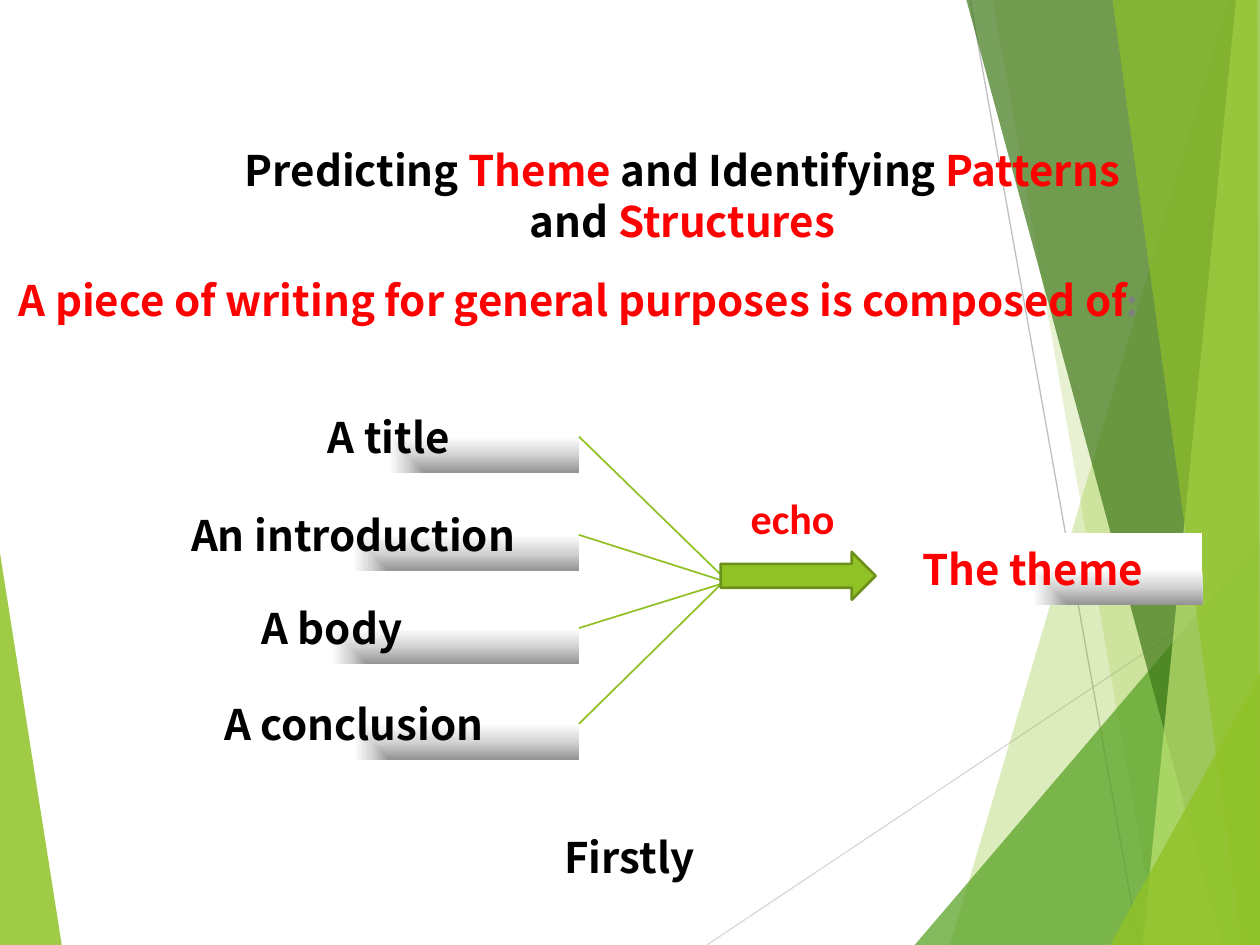
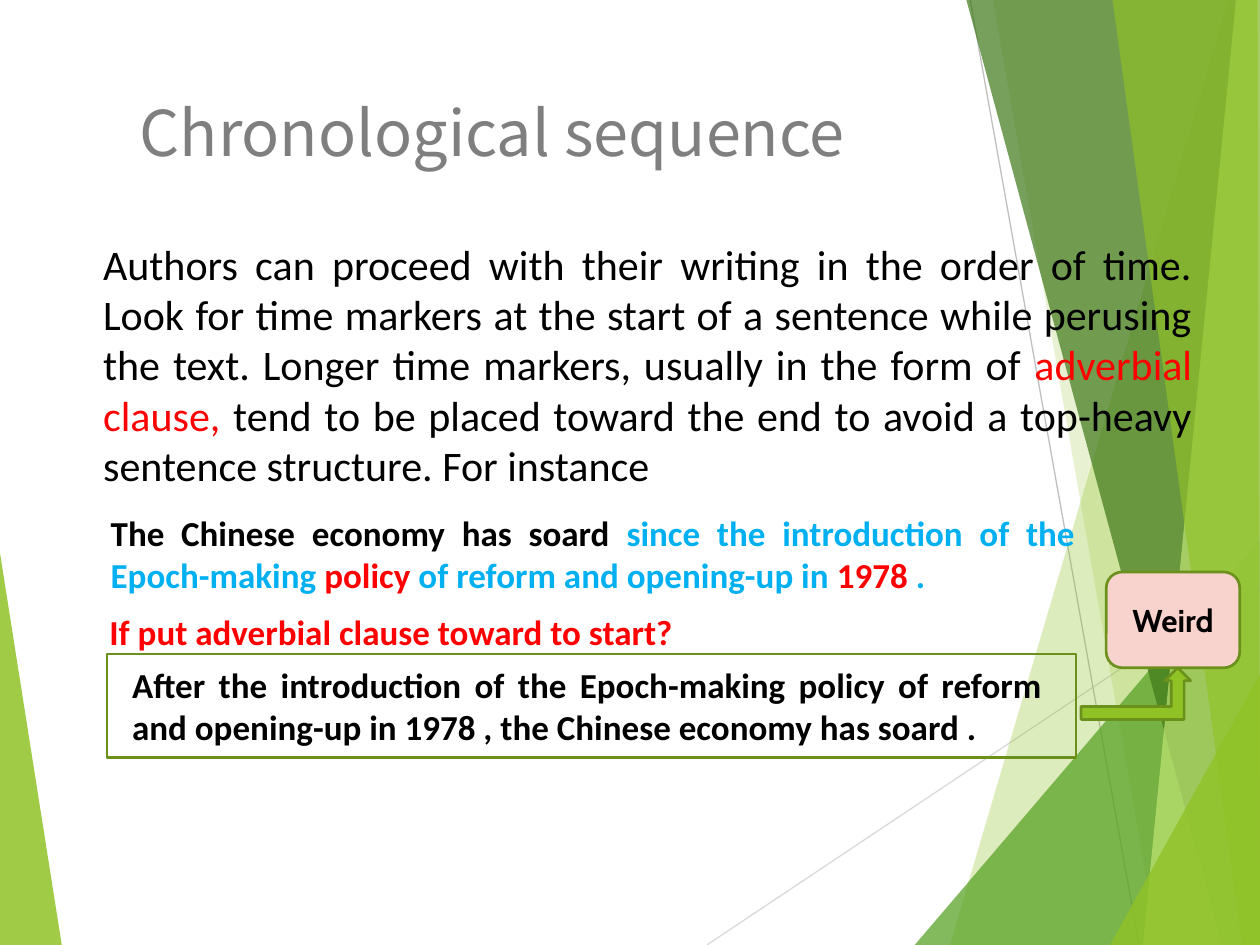
from dataclasses import dataclass

import pptx
import pptx.dml.color
import pptx.enum.shapes
import pptx.enum.text
import pptx.oxml
import pptx.oxml.ns
import pptx.util

# Grid: 20 columns by 15 rows over the whole slide
COLUMNS, ROWS = 20, 15
WIDTH, HEIGHT = pptx.util.Inches(10), pptx.util.Inches(7.5)

COLORS = {
    "black": "000000", "red": "FF0000", "grey": "7F7F7F", "sky": "00B0F0",
    "green": "90C226", "leaf": "54A021", "forest": "3F7819", "lime": "C0E474",
    "olive": "6B901C", "blush": "F8D2CC", "silver": "D9D9D9", "ash": "BFBFBF",
    "shade": "949494", "mist": "D4D4D4", "white": "FFFFFF",
}
DISPLAY, BODY, LABEL = "Noto Sans CJK SC", "Calibri", "Cabin"
SHAPES = pptx.enum.shapes.MSO_SHAPE
ALIGN = pptx.enum.text.PP_ALIGN


@dataclass(frozen=True)
class Area:
    left: float
    top: float
    width: float
    height: float

    def emu(self) -> tuple:
        return col(self.left), row(self.top), col(self.width), row(self.height)


@dataclass(frozen=True)
class Ribbon:
    color: str
    opacity: int
    points: tuple


@dataclass(frozen=True)
class Span:
    text: str
    color: str = "black"
    size: float = 0  # 0 keeps the size of the paragraph


@dataclass(frozen=True)
class Part:
    text: str
    left: float
    top: float
    tip: tuple  # where its line meets the arrow


RIBBONS = (
    Ribbon("green", 30, ((19.5, 0), (15.08, 15), (20, 15), (20, 0))),
    Ribbon("green", 20, ((15.76, 0), (18.38, 15), (20, 15), (20, 0))),
    Ribbon("leaf", 72, ((14.52, 15), (20, 8.58), (20, 15))),
    Ribbon("forest", 70, ((15.34, 0), (19.4, 15), (20, 15), (20, 0))),
    Ribbon("lime", 70, ((19.62, 0), (18.14, 15), (20, 15), (20, 0))),
    Ribbon("green", 65, ((17.66, 0), (19.72, 15), (20, 15), (19.96, 0))),
    Ribbon("green", 80, ((17.62, 15), (20, 10.7), (20, 15))),
)
LEFT_RIBBON = Ribbon("green", 85, ((0, 8.78), (0.98, 15), (0, 15)))

PARTS_RIGHT, PART_HEIGHT = 9.19, 1.14
PARTS = (
    Part("A title", 3.16, 6.36, (11.44, 9.12)),
    Part("An introduction", 2.02, 7.92, (11.54, 9.24)),
    Part("A body", 1.34, 9.4, (11.54, 9.24)),
    Part("A conclusion", 2.04, 10.92, (11.48, 9.24)),
)


def col(count: float) -> int:
    return round(WIDTH * count / COLUMNS)


def row(count: float) -> int:
    return round(HEIGHT * count / ROWS)


def rgb(name: str) -> pptx.dml.color.RGBColor:
    return pptx.dml.color.RGBColor.from_string(COLORS[name])


def write(box, content, *, size: float, font: str, color: str = "black",
          bold: bool = False, align=ALIGN.LEFT, leading: float = 0) -> None:
    """Fill one paragraph from a string or a sequence of spans."""
    para = box.text_frame.paragraphs[0]
    para.alignment = align
    if leading:
        para.line_spacing = pptx.util.Pt(leading)
    spans = (Span(content, color),) if isinstance(content, str) else content
    for item in spans:
        span = para.add_run()
        span.text = item.text
        span.font.name = font
        span.font.size = pptx.util.Pt(item.size or size)
        span.font.bold = bold
        span.font.color.rgb = rgb(item.color)


def add_text(page, area: Area, content, *, wrap: bool = True, **style) -> None:
    box = page.shapes.add_textbox(*area.emu())
    box.text_frame.word_wrap = wrap
    write(box, content, **style)


def add_display(page, area: Area, content, *, size: float = 24, **style) -> None:
    add_text(page, area, content, size=size, font=DISPLAY,
             leading=size * 1.2, **style)


def add_block(page, kind, area: Area, fill: str = "", line: str = ""):
    block = page.shapes.add_shape(kind, *area.emu())
    block.shadow.inherit = False
    if fill:
        block.fill.solid()
        block.fill.fore_color.rgb = rgb(fill)
    else:
        block.fill.background()
    if line:
        block.line.color.rgb = rgb(line)
        block.line.width = pptx.util.Pt(1.5)
    else:
        block.line.fill.background()
    block.text_frame.vertical_anchor = pptx.enum.text.MSO_ANCHOR.MIDDLE
    return block


def add_shaded_box(page, area: Area, text: str, color: str = "black"):
    """Borderless box shaded from its lower right corner."""
    box = add_block(page, SHAPES.RECTANGLE, area)
    stops = "".join(
        f'<a:gs pos="{place}"><a:srgbClr val="{COLORS[name]}"/></a:gs>'
        for place, name in ((0, "shade"), (50000, "mist"), (100000, "white")))
    gradient = pptx.oxml.parse_xml(
        f'<a:gradFill {pptx.oxml.ns.nsdecls("a")} rotWithShape="1">'
        f'<a:gsLst>{stops}</a:gsLst><a:path path="rect">'
        '<a:fillToRect l="100000" t="100000"/></a:path>'
        '<a:tileRect r="-100000" b="-100000"/></a:gradFill>')
    properties = box.element.spPr
    properties.replace(properties.find(pptx.oxml.ns.qn("a:noFill")), gradient)
    write(box, text, size=24, font=DISPLAY, color=color, bold=True,
          align=ALIGN.CENTER)
    return box


def add_line(page, start: tuple, end: tuple, color: str, width: float):
    line = page.shapes.add_connector(
        pptx.enum.shapes.MSO_CONNECTOR.STRAIGHT,
        col(start[0]), row(start[1]), col(end[0]), row(end[1]))
    line.line.color.rgb = rgb(color)
    line.line.width = pptx.util.Pt(width)
    line.element.spPr.append(pptx.oxml.parse_xml(
        f'<a:effectLst {pptx.oxml.ns.nsdecls("a")}/>'))
    return line


def add_ribbon(page, ribbon: Ribbon) -> None:
    first, *rest = [(col(x), row(y)) for x, y in ribbon.points]
    builder = page.shapes.build_freeform(*first)
    builder.add_line_segments(rest, close=True)
    shape = builder.convert_to_shape()
    shape.shadow.inherit = False
    shape.line.fill.background()
    shape.fill.solid()
    shape.fill.fore_color.rgb = rgb(ribbon.color)
    tint = shape.element.spPr.find(".//" + pptx.oxml.ns.qn("a:srgbClr"))
    tint.append(pptx.oxml.parse_xml(
        f'<a:alpha {pptx.oxml.ns.nsdecls("a")} val="{ribbon.opacity * 1000}"/>'))


def add_page(deck):
    """Blank page with the green ribbons."""
    page = deck.slides.add_slide(deck.slide_layouts[6])
    add_ribbon(page, LEFT_RIBBON)
    add_line(page, (11.22, 15), (20, 9.14), "silver", 0.75)
    add_line(page, (15.4, 0), (18.08, 15), "ash", 0.75)
    for ribbon in RIBBONS:
        add_ribbon(page, ribbon)
    return page


def build_theme_page(deck) -> None:
    page = add_page(deck)

    # Parts of a text and the theme they echo
    boxes = [add_shaded_box(page, Area(part.left, part.top,
                                       PARTS_RIGHT - part.left, PART_HEIGHT),
                            part.text)
             for part in PARTS]
    add_shaded_box(page, Area(13.7, 8.46, 5.38, PART_HEIGHT), "The theme", "red")
    for part, box in zip(PARTS, boxes):
        start = (PARTS_RIGHT, part.top + PART_HEIGHT / 2)
        line = add_line(page, start, part.tip, "green", 1)
        line.begin_connect(box, 3)
    add_block(page, SHAPES.RIGHT_ARROW, Area(11.44, 8.76, 2.46, 0.76),
              "green", "olive")

    # Headings and labels
    add_display(page, Area(3.34, 2.2, 14.98, 1.82), (
        Span("Predicting "), Span("Theme", "red"), Span(" and Identifying "),
        Span("Patterns", "red"), Span(" and "), Span("Structures", "red"),
    ), bold=True, align=ALIGN.CENTER)
    add_display(page, Area(0.1, 4.26, 19.06, 1.02), (
        Span("A piece of writing for general purposes is composed of", "red"),
        Span(":", "grey", 20),
    ), bold=True, wrap=False)
    add_text(page, Area(11.72, 7.72, 1.74, 1.02), "echo", size=24, font=BODY,
             color="red", bold=True, wrap=False)
    add_display(page, Area(8.76, 13.1, 2.46, 1.02), "Firstly", bold=True,
                wrap=False)


def build_sequence_page(deck) -> None:
    page = add_page(deck)
    add_display(page, Area(2.02, 1.38, 12.12, 1.42), "Chronological sequence",
                size=36, color="grey")

    # Explanation
    add_text(page, Area(1.44, 3.68, 17.68, 4.24), (
        Span("Authors can proceed with their writing in the order of time. "
             "Look for time markers at the start of a sentence while perusing "
             "the text. Longer time markers, usually in the form of "),
        Span("adverbial clause, ", "red"),
        Span("tend to be placed toward the end to avoid a top-heavy sentence "
             "structure. For instance"),
    ), size=24, font=BODY, align=ALIGN.JUSTIFY)

    # Example sentences
    example = {"size": 20, "font": BODY, "bold": True}
    add_text(page, Area(1.56, 8.02, 15.7, 1.54), (
        Span("The Chinese economy has soard "),
        Span("since the introduction of the Epoch-making ", "sky"),
        Span("policy ", "red"),
        Span("of reform and opening-up in ", "sky"),
        Span("1978 ", "red"), Span(".", "sky"),
    ), align=ALIGN.JUSTIFY, **example)
    add_text(page, Area(1.9, 10.44, 14.84, 1.54),
             "After the introduction of the Epoch-making policy of reform and "
             "opening-up in 1978 , the Chinese economy has soard .",
             align=ALIGN.JUSTIFY, **example)
    add_text(page, Area(1.54, 9.6, 10.3, 0.88),
             "If put adverbial clause toward to start?",
             color="red", wrap=False, **example)

    # Verdict on the second sentence
    verdict = add_block(page, SHAPES.ROUNDED_RECTANGLE,
                        Area(17.56, 9.08, 2.12, 1.52), "blush", "olive")
    write(verdict, "Weird", size=18, font=LABEL, bold=True, align=ALIGN.CENTER)
    add_block(page, SHAPES.BENT_UP_ARROW, Area(17.16, 10.6, 1.74, 0.82),
              "green", "olive")
    add_block(page, SHAPES.RECTANGLE, Area(1.7, 10.38, 15.38, 1.64),
              line="olive")


def main() -> None:
    deck = pptx.Presentation()
    deck.slide_width, deck.slide_height = WIDTH, HEIGHT
    build_theme_page(deck)
    build_sequence_page(deck)
    deck.save("out.pptx")


if __name__ == "__main__":
    main()
